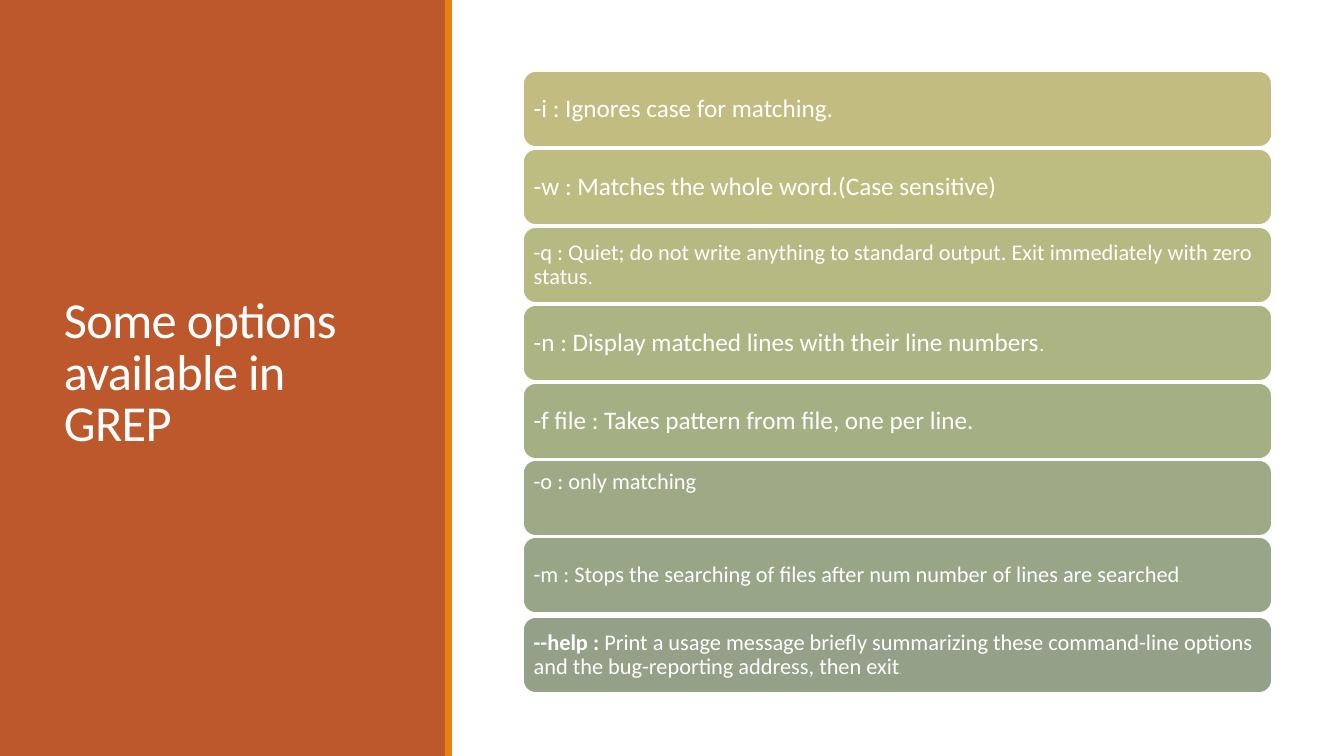
from pptx import Presentation
from pptx.dml.color import RGBColor
from pptx.enum.shapes import MSO_SHAPE
from pptx.enum.text import MSO_ANCHOR, PP_ALIGN
from pptx.util import Pt

RECT, ROUND = MSO_SHAPE.RECTANGLE, MSO_SHAPE.ROUNDED_RECTANGLE
TOP, MID, LEFT = MSO_ANCHOR.TOP, MSO_ANCHOR.MIDDLE, PP_ALIGN.LEFT
SCALE = 914400 / 100.8
RUST, AMBER, WHITE = "BD582C", "E48312", "FFFFFF"


def px(n):
    """Turn pixels into EMU."""
    return round(n * SCALE)


def color(code):
    """Turn a hex string into a colour."""
    return RGBColor.from_string(code)


class Deck:
    """Holds the text style and the current slide."""

    font = {"name": "Calibri", "bold": False}

    def __init__(self, wide, high):
        """Open a deck with one blank slide."""
        self.show = Presentation()
        self.show.slide_width, self.show.slide_height = px(wide), px(high)
        self.slide = self.show.slides.add_slide(self.show.slide_layouts[6])

    def shape(self, kind, box, fill, edge=None):
        """Add a filled shape, with an outline if edge is given."""
        item = self.slide.shapes.add_shape(kind, *map(px, box))
        item.shadow.inherit = False
        item.fill.solid()
        item.fill.fore_color.rgb = color(fill)
        if edge:
            item.line.color.rgb = color(edge)
            item.line.width = Pt(1.25)
        else:
            item.line.fill.background()
        return item

    def label(self, item, runs, gap, pad=None, anchor=MID, track=0):
        """Fill an item with one paragraph of (text, size, bold) runs."""
        frame = item.text_frame
        frame.word_wrap, frame.vertical_anchor = True, anchor
        if pad is not None:
            frame.margin_left = frame.margin_right = px(pad)
            frame.margin_top = frame.margin_bottom = px(pad)
        para = frame.paragraphs[0]
        para.alignment, para.line_spacing = LEFT, gap
        for text, size, *bold in runs:
            run = para.add_run()
            run.text = text
            style = {**self.font, "size": Pt(size), "bold": bool(bold)}
            for key, value in style.items():
                setattr(run.font, key, value)
            run.font.color.rgb = color(WHITE)
            if track:
                run._r.get_or_add_rPr().set("spc", str(track))

    def title(self, box, text):
        """Add the slide title."""
        item = self.slide.shapes.add_textbox(*map(px, box))
        self.label(item, [(text, 36)], 0.85, track=-50)

    def card(self, top, fill, runs, anchor=MID):
        """Add one option card."""
        item = self.shape(ROUND, (523, top, 749, 76), fill, WHITE)
        self.label(item, runs, 0.9, 7, anchor)


CARDS = [
    (71, "C2BC80", [("-i : Ignores case for matching.", 18)]),
    (149, "BEBD81", [("-w : Matches the whole word.(Case sensitive)", 18)]),
    (227, "B5B982", [("-q : Quiet; do not write anything to standard output. "
                      "Exit immediately with zero status", 16), (".", 14)]),
    (305, "ACB483", [("-n : Display matched lines with their line numbers", 18),
                     (".", 14)]),
    (383, "A5AF84", [("-f file : Takes pattern from file, one per line.", 18)]),
    (460, "9EAA85", [("-o : only matching", 16)], TOP),
    (537, "98A586", [("-m : Stops the searching of files after num number "
                      "of lines are searched", 16), (".", 5)]),
    (617, "94A088", [("--help : ", 16, True),
                     ("Print a usage message briefly summarizing these "
                      "command-line options and the bug-reporting address, "
                      "then exit", 16), (".", 5)]),
]

deck = Deck(1344, 756)
deck.shape(RECT, (0, 0, 446, 756), RUST)
deck.shape(RECT, (445, 0, 7, 756), AMBER)
deck.title((54, 57, 340, 636), "Some options available in GREP")
for card in CARDS:
    deck.card(*card)
deck.show.save("out.pptx")
